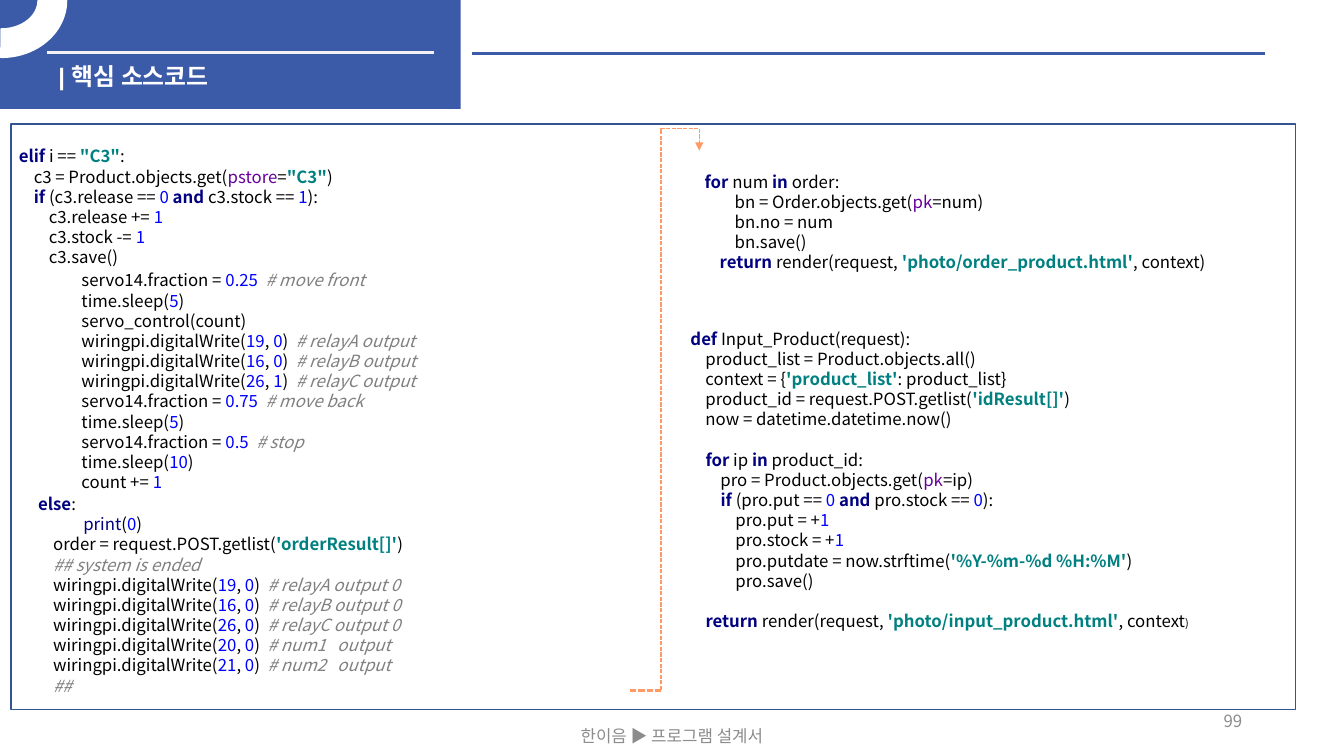
from dataclasses import dataclass

from lxml import etree
from pptx import Presentation, util as u
from pptx.dml.color import RGBColor
from pptx.enum import dml, shapes, text
from pptx.oxml.ns import qn

PX = 9144  # 100 px to the inch
FONT = "Noto Sans CJK KR"
CODE_LEADING = u.Pt(14.4)
COLORS = {
    "blue": "3B5AA8", "frame": "325491", "white": "FFFFFF", "rule": "F2F2F2",
    "flow": "FF9966", "footer": "8C8C8C", "black": "000000", "navy": "000080",
    "teal": "008080", "number": "0000FF", "purple": "660099", "comment": "808080",
}
# Code between backticks starts with the letter of its style.
STYLES = {
    "k": dict(color="navy", bold=True),
    "s": dict(color="teal", bold=True),
    "n": dict(color="number"),
    "c": dict(color="comment", italic=True),
    "p": dict(color="purple"),
    "b": dict(color="navy"),
    "t": dict(size=8),
}


@dataclass(frozen=True)
class Box:
    left: int
    top: int
    width: int
    height: int

    def emu(self) -> list[int]:
        return [v * PX for v in (self.left, self.top, self.width, self.height)]


@dataclass(frozen=True)
class Listing:
    box: Box
    code: str
    inset_top: int = 5


@dataclass(frozen=True)
class Line:
    start: tuple[int, int]
    end: tuple[int, int]
    color: str
    width: float = 2.25
    dashed: bool = False
    kind: shapes.MSO_CONNECTOR = shapes.MSO_CONNECTOR.STRAIGHT


def rgb(name: str) -> RGBColor:
    return RGBColor.from_string(COLORS[name])


def write(paragraph, content: str, *, size: float = 12, color: str = "black",
          bold: bool = False, italic: bool = False, font: str = FONT) -> None:
    run = paragraph.add_run()
    run.text = content
    run.font.size, run.font.bold, run.font.italic = u.Pt(size), bold, italic
    run.font.color.rgb = rgb(color)
    run.font.name = font
    etree.SubElement(run.font._element, qn("a:ea"), typeface=FONT)


def add_frame(slide, box: Box):
    frame = slide.shapes.add_textbox(*box.emu()).text_frame
    frame.word_wrap = True
    return frame


def add_listing(slide, listing: Listing) -> None:
    """Set one paragraph per code line; an empty line becomes space before the next."""
    frame = add_frame(slide, listing.box)
    frame.margin_top = listing.inset_top * PX
    paragraph, gap = frame.paragraphs[0], 0
    for number, line in enumerate(listing.code.strip("\n").split("\n")):
        if not line:
            gap += CODE_LEADING
            continue
        if number:
            paragraph = frame.add_paragraph()
            paragraph.space_before = gap
        gap = 0
        paragraph.line_spacing = CODE_LEADING
        for index, piece in enumerate(line.split("`")):
            if index % 2:
                write(paragraph, piece[1:], **STYLES[piece[0]])
            elif piece:
                write(paragraph, piece)


def add_label(slide, box: Box, content: str, align: text.PP_ALIGN) -> None:
    frame = add_frame(slide, box)
    frame.vertical_anchor = text.MSO_ANCHOR.MIDDLE
    frame.paragraphs[0].alignment = align
    write(frame.paragraphs[0], content, color="footer")


def add_shape(slide, kind: shapes.MSO_SHAPE, box: Box, fill: str = "", line: str = ""):
    shape = slide.shapes.add_shape(kind, *box.emu())
    shape.shadow.inherit = False
    if fill:
        shape.fill.solid()
        shape.fill.fore_color.rgb = rgb(fill)
    else:
        shape.fill.background()
    if line:
        shape.line.color.rgb = rgb(line)
        shape.line.width = u.Pt(1)
    else:
        shape.line.fill.background()
    return shape


def add_line(slide, line: Line):
    connector = slide.shapes.add_connector(
        line.kind, *(v * PX for v in line.start + line.end))
    connector.line.color.rgb = rgb(line.color)
    connector.line.width = u.Pt(line.width)
    if line.dashed:
        connector.line.dash_style = dml.MSO_LINE.SQUARE_DOT
    etree.SubElement(connector.element.spPr, qn("a:effectLst"))
    return connector


def add_flow_arrow(slide) -> None:
    """Lead from the foot of the left column to the head of the right one."""
    arrow = add_line(slide, Line((407, 398), (942, 436), "flow", 1, True,
                                 shapes.MSO_CONNECTOR.ELBOW))
    properties = arrow.element.spPr
    for key, value in dict(rot="5400000", flipH="1", flipV="1").items():
        properties.find(qn("a:xfrm")).set(key, value)
    geometry = properties.find(qn("a:prstGeom"))
    guides = geometry.find(qn("a:avLst"))
    if guides is None:
        guides = etree.SubElement(geometry, qn("a:avLst"))
    etree.SubElement(guides, qn("a:gd"), name="adj1", fmla="val 104100")
    etree.SubElement(properties.find(qn("a:ln")), qn("a:tailEnd"), type="triangle")


def relay(pin: int, level: int, note: str) -> str:
    return f"wiringpi.digitalWrite(`n{pin}`, `n{level}`)  `c# {note}`"


SERVO = "\n".join([
    "servo14.fraction = `n0.25`  `c# move front`",
    "time.sleep(`n5`)",
    "servo_control(count)",
    relay(19, 0, "relayA output"),
    relay(16, 0, "relayB output"),
    relay(26, 1, "relayC output"),
    "servo14.fraction = `n0.75`  `c# move back`",
    "time.sleep(`n5`)",
    "servo14.fraction = `n0.5`  `c# stop`",
    "time.sleep(`n10`)",
    "count += `n1`",
])
STOCK = """
        `kelif `i == `s"C3"`:
            c3 = Product.objects.get(`ppstore`=`s"C3"`)
            `kif `(c3.release == `n0 ``kand `c3.stock == `n1`):
                c3.release += `n1`
                c3.stock -= `n1`
                c3.save()
"""
SHUTDOWN = "\n    ".join([
    "`kelse`:",
    "        `bprint`(`n0`)",
    "order = request.POST.getlist(`s'orderResult[]'`)",
    "`c## system is ended`",
    relay(19, 0, "relayA output 0"),
    relay(16, 0, "relayB output 0"),
    relay(26, 0, "relayC output 0"),
    relay(20, 0, "num1   output"),
    relay(21, 0, "num2   output"),
    "`c##`",
])
ORDER = """
`kfor `num `kin `order:
        bn = Order.objects.get(`ppk`=num)
        bn.no = num
        bn.save()
    `kreturn `render(request, `s'photo/order_product.html'`, context)
"""
INPUT = """
`kdef `Input_Product(request):
    product_list = Product.objects.all()
    context = {`s'product_list'`: product_list}
    product_id = request.POST.getlist(`s'idResult[]'`)
    now = datetime.datetime.now()

    `kfor `ip `kin `product_id:
        pro = Product.objects.get(`ppk`=ip)
        `kif `(pro.put == `n0 ``kand `pro.stock == `n0`):
            pro.put = +`n1`
            pro.stock = +`n1`
            pro.putdate = now.strftime(`s'%Y-%m-%d %H:%M'`)
            pro.save()

    `kreturn `render(request, `s'photo/input_product.html'`, context`t)`
"""
LISTINGS = [
    Listing(Box(689, 165, 671, 131), ORDER),
    Listing(Box(71, 243, 667, 252), SERVO, inset_top=25),
    Listing(Box(-21, 120, 667, 172), STOCK, inset_top=25),
    Listing(Box(28, 485, 687, 232), SHUTDOWN),
    Listing(Box(675, 321, 690, 370), INPUT),
]


def add_header(slide) -> None:
    add_line(slide, Line((468, 53), (1255, 53), "blue"))
    add_shape(slide, shapes.MSO_SHAPE.RECTANGLE, Box(0, -1, 457, 109), "blue")
    add_line(slide, Line((47, 52), (430, 52), "rule"))
    ring = add_shape(slide, shapes.MSO_SHAPE.BLOCK_ARC, Box(-63, -56, 129, 113),
                     "white", "white")
    for index, value in enumerate((161.59, 0, 0.25)):
        ring.adjustments[index] = value
    ring.element.spPr.find(qn("a:xfrm")).set("flipV", "1")

    title = slide.shapes.title
    title.left, title.top, title.width, title.height = Box(48, 56, 354, 16).emu()
    frame = title.text_frame
    frame.auto_size = text.MSO_AUTO_SIZE.NONE
    frame.vertical_anchor = text.MSO_ANCHOR.TOP
    frame.paragraphs[0].alignment = text.PP_ALIGN.LEFT
    write(frame.paragraphs[0], "| 핵심 소스코드", size=17, color="white", bold=True, font="Arial")
    ring.element.addnext(title.element)


def main() -> None:
    deck = Presentation()
    deck.slide_width, deck.slide_height = 1333 * PX, 750 * PX
    slide = deck.slides.add_slide(deck.slide_layouts.get_by_name("Title Only"))
    add_label(slide, Box(508, 710, 317, 40), "한이음 ▶ 프로그램 설계서", text.PP_ALIGN.CENTER)
    add_header(slide)
    add_shape(slide, shapes.MSO_SHAPE.RECTANGLE, Box(11, 123, 1274, 581), line="frame")
    add_flow_arrow(slide)
    add_line(slide, Line((656, 685), (624, 685), "flow", 1.5, True))
    add_label(slide, Box(942, 695, 300, 40), "99", text.PP_ALIGN.RIGHT)
    for listing in LISTINGS:
        add_listing(slide, listing)
    deck.save("out.pptx")


if __name__ == "__main__":
    main()
